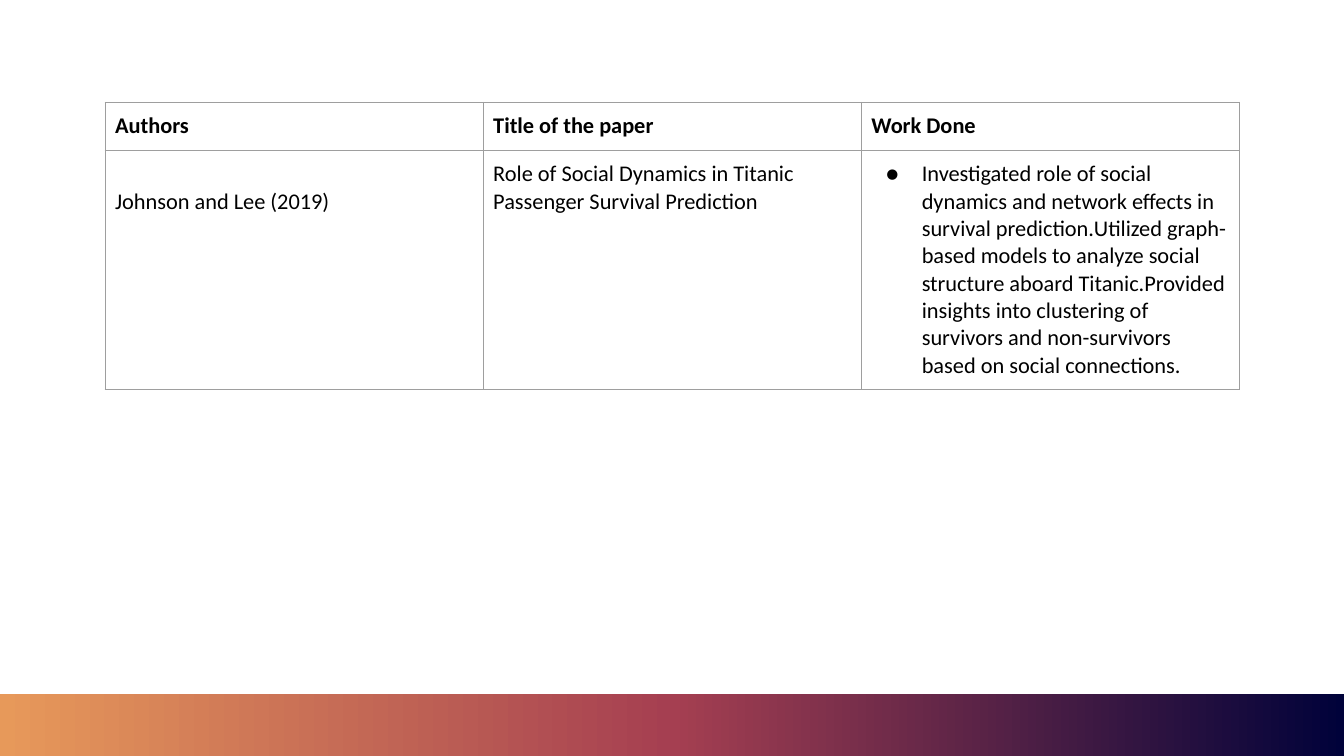
from copy import deepcopy
from dataclasses import dataclass

from lxml import etree
from pptx import Presentation
from pptx import util as u
from pptx.dml.color import RGBColor
from pptx.enum import shapes
from pptx.oxml import ns


@dataclass(frozen=True)
class Theme:
    font: str = "Calibri"
    text_size: int = 16
    text_color: str = "000000"
    border_color: str = "9E9E9E"
    border_width: float = 0.75
    band_colors: tuple[str, ...] = ("E7995A", "A53F51", "00023A")


@dataclass(frozen=True)
class CellText:
    text: str
    bold: bool = False
    bullet: bool = False
    top_margin: float = 0.25


THEME = Theme()
SLIDE_WIDTH, SLIDE_HEIGHT = 33.87, 19.05
BAND_HEIGHT = 1.55
TABLE_LEFT, TABLE_TOP = 2.65, 2.58
COLUMN_WIDTH = 9.53
ROW_HEIGHTS = (1.21, 6.02)
CELL_MARGIN = 0.25

ROWS = (
    tuple(CellText(heading, bold=True) for heading in ("Authors", "Title of the paper", "Work Done")),
    (
        CellText("Johnson and Lee (2019)", top_margin=0.94),
        CellText("Role of Social Dynamics in Titanic Passenger Survival Prediction"),
        CellText(
            "Investigated role of social dynamics and network effects in survival prediction."
            "Utilized graph-based models to analyze social structure aboard Titanic."
            "Provided insights into clustering of survivors and non-survivors "
            "based on social connections.",
            bullet=True,
        ),
    ),
)


def add_child(parent, tag: str, **attributes: str):
    return etree.SubElement(parent, ns.qn(tag), attributes)


def add_band(slide) -> None:
    band = slide.shapes.add_shape(
        shapes.MSO_SHAPE.RECTANGLE,
        0, u.Cm(SLIDE_HEIGHT - BAND_HEIGHT), u.Cm(SLIDE_WIDTH), u.Cm(BAND_HEIGHT),
    )
    band.shadow.inherit = False
    band.line.fill.background()
    band.fill.gradient()
    band.fill.gradient_angle = 0
    stop_list = band.element.spPr.find(ns.qn("a:gradFill")).find(ns.qn("a:gsLst"))
    stop_list.append(deepcopy(stop_list[0]))
    for index, (stop, color) in enumerate(zip(band.fill.gradient_stops, THEME.band_colors)):
        stop.position = index / (len(THEME.band_colors) - 1)
        stop.color.rgb = RGBColor.from_string(color)


def add_borders(cell) -> None:
    properties = cell._tc.get_or_add_tcPr()
    for side in ("a:lnL", "a:lnR", "a:lnT", "a:lnB"):
        line = add_child(properties, side, w=str(u.Pt(THEME.border_width)))
        add_child(add_child(line, "a:solidFill"), "a:srgbClr", val=THEME.border_color)


def add_bullet(paragraph) -> None:
    properties = paragraph._p.get_or_add_pPr()
    properties.set("marL", str(u.Cm(1.27)))
    properties.set("indent", str(u.Cm(-0.91)))
    add_child(add_child(properties, "a:buClr"), "a:srgbClr", val=THEME.text_color)
    add_child(properties, "a:buFont", typeface=THEME.font)
    add_child(properties, "a:buChar", char="●")


def fill_cell(cell, content: CellText) -> None:
    add_borders(cell)
    cell.fill.background()
    cell.margin_left = cell.margin_right = cell.margin_bottom = u.Cm(CELL_MARGIN)
    cell.margin_top = u.Cm(content.top_margin)
    cell.text_frame.text = content.text
    paragraph = cell.text_frame.paragraphs[0]
    if content.bullet:
        add_bullet(paragraph)
    for run in paragraph.runs:
        run.font.name = THEME.font
        run.font.size = u.Pt(THEME.text_size)
        run.font.bold = content.bold
        run.font.color.rgb = RGBColor.from_string(THEME.text_color)


def add_paper_table(slide) -> None:
    column_count = len(ROWS[0])
    table = slide.shapes.add_table(
        len(ROWS), column_count, u.Cm(TABLE_LEFT), u.Cm(TABLE_TOP),
        u.Cm(COLUMN_WIDTH * column_count), u.Cm(sum(ROW_HEIGHTS)),
    ).table
    table.first_row = table.horz_banding = False
    for column in table.columns:
        column.width = u.Cm(COLUMN_WIDTH)
    for row, height, contents in zip(table.rows, ROW_HEIGHTS, ROWS):
        row.height = u.Cm(height)
        for cell, content in zip(row.cells, contents):
            fill_cell(cell, content)


def main() -> None:
    presentation = Presentation()
    presentation.slide_width = u.Cm(SLIDE_WIDTH)
    presentation.slide_height = u.Cm(SLIDE_HEIGHT)
    slide = presentation.slides.add_slide(presentation.slide_layouts[6])
    add_band(slide)
    add_paper_table(slide)
    presentation.save("out.pptx")


if __name__ == "__main__":
    main()
